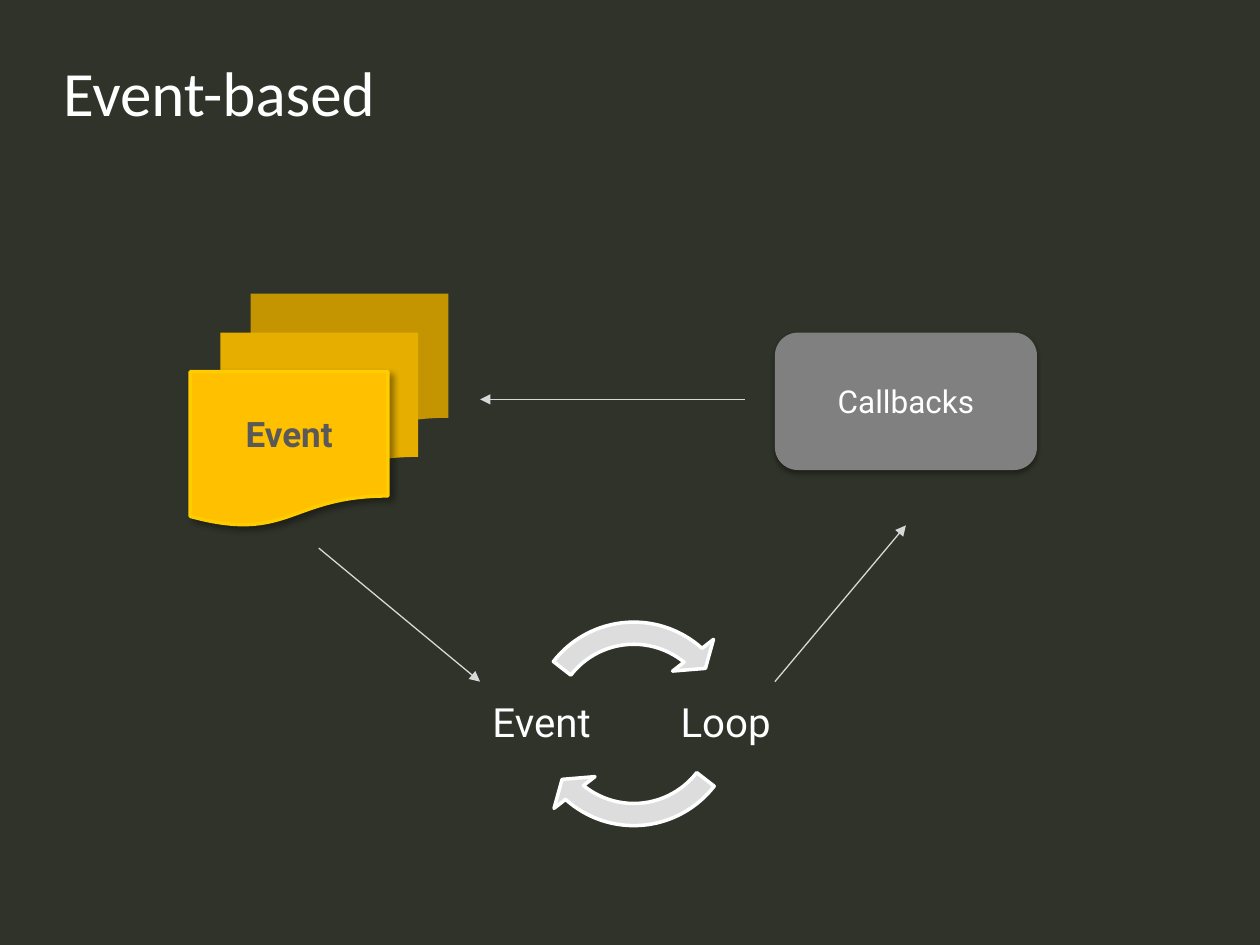
from collections import namedtuple

from lxml import etree
from pptx import Presentation
from pptx.dml.color import RGBColor
from pptx.enum.shapes import MSO_CONNECTOR, MSO_SHAPE
from pptx.enum.text import MSO_ANCHOR, MSO_AUTO_SIZE, PP_ALIGN
from pptx.oxml.ns import qn
from pptx.util import Inches, Pt

DOCUMENT = MSO_SHAPE.FLOWCHART_DOCUMENT
CIRCULAR_ARROW = MSO_SHAPE.CIRCULAR_ARROW
ROUNDED = MSO_SHAPE.ROUNDED_RECTANGLE
STRAIGHT = MSO_CONNECTOR.STRAIGHT
TOP, MIDDLE = MSO_ANCHOR.TOP, MSO_ANCHOR.MIDDLE
LEFT, CENTER = PP_ALIGN.LEFT, PP_ALIGN.CENTER
NO_AUTOFIT = MSO_AUTO_SIZE.NONE

BACKGROUND = RGBColor(0x30, 0x33, 0x29)
WHITE = RGBColor(0xFF, 0xFF, 0xFF)
DARK_GOLD = RGBColor(0xC4, 0x95, 0x00)
MID_GOLD = RGBColor(0xE6, 0xAF, 0x00)
GOLD = RGBColor(0xFF, 0xC0, 0x00)
GOLD_EDGE = RGBColor(0xFF, 0xCC, 0x00)
DARK_GREY = RGBColor(0x59, 0x59, 0x59)
GREY = RGBColor(0x80, 0x80, 0x80)
ARROW_FILL = RGBColor(0xDD, 0xDD, 0xDD)
LINE_GREY = RGBColor(0xD8, 0xD8, 0xD8)

# The slide is a grid of 100 columns and 75 rows.
SLIDE_WIDTH, SLIDE_HEIGHT = Inches(10), Inches(7.5)
COLUMN, ROW = SLIDE_WIDTH / 100, SLIDE_HEIGHT / 75

Box = namedtuple("Box", "left top width height")
TITLE_BOX = Box(5, 4.8, 90, 6.6)
EVENTS_BOX = Box(15.1, 23.3, 20.5, 18.5)
LOOP_BOX = Box(38.5, 48.2, 23.6, 18.5)
CALLBACKS_BOX = Box(61.5, 26.4, 20.8, 10.9)
FLOW_LINES = [
    ((25.3, 43.5), (38.1, 54.1)),
    ((61.5, 54.1), (71.9, 41.7)),
    ((59.1, 31.7), (38.1, 31.7)),
]
HALF_TURN = 108  # 180 degrees in adjustment units


def on_slide(box):
    """Turn grid columns and rows into slide lengths."""
    return (round(box.left * COLUMN), round(box.top * ROW),
            round(box.width * COLUMN), round(box.height * ROW))


def set_text(shape, text, font_format, alignment=CENTER, anchor=MIDDLE,
             margin=None, line_spacing=None):
    frame = shape.text_frame
    frame.word_wrap, frame.auto_size = True, NO_AUTOFIT
    frame.vertical_anchor = anchor
    if margin is not None:
        for side in ("left", "top", "right", "bottom"):
            setattr(frame, f"margin_{side}", margin)
    paragraph = frame.paragraphs[0]
    paragraph.alignment, paragraph.line_spacing = alignment, line_spacing
    run = paragraph.add_run()
    run.text = text
    settings = {"name": "Roboto", "color": WHITE, "bold": False, **font_format}
    run.font.color.rgb = settings.pop("color")
    for name, value in settings.items():
        setattr(run.font, name, value)


def add_filled(slide, kind, box, fill, edge=None):
    shape = slide.shapes.add_shape(kind, *on_slide(box))
    shape.shadow.inherit = False
    shape.fill.solid()
    shape.fill.fore_color.rgb = fill
    if edge is None:
        shape.line.fill.background()
    else:
        shape.line.color.rgb, shape.line.width = edge, Pt(2)
    return shape


def cast_shadow(shape, opacity, blur, distance, direction):
    effects = shape.element.spPr.find(qn("a:effectLst"))
    shadow = etree.SubElement(
        effects, qn("a:outerShdw"), blurRad=str(Pt(blur)),
        dist=str(Pt(distance)), dir=str(direction * 60000), rotWithShape="0")
    color = etree.SubElement(shadow, qn("a:srgbClr"), val="000000")
    etree.SubElement(color, qn("a:alpha"), val=str(opacity * 1000))


def add_title(slide, box):
    title = slide.shapes.title
    title.left, title.top, title.width, title.height = on_slide(box)
    set_text(title, "Event-based", {"name": "Calibri", "size": Pt(36)},
             LEFT, TOP, margin=0, line_spacing=Pt(39))


def add_event_stack(slide, box):
    """Three documents, each a step lower and further left than the last."""
    step_x, step_y = 2.4, 3.1
    width, height = box.width - 2 * step_x, box.height - 2 * step_y
    styles = [(DARK_GOLD, None), (MID_GOLD, None), (GOLD, GOLD_EDGE)]
    for index, (fill, edge) in enumerate(styles):
        place = Box(box.left + (2 - index) * step_x,
                    box.top + index * step_y, width, height)
        document = add_filled(slide, DOCUMENT, place, fill, edge)
    cast_shadow(document, 40, 4, 3, 45)
    set_text(document, "Event",
             {"size": Pt(20), "bold": True, "color": DARK_GREY})


def add_event_loop(slide, box):
    """Two words with an arrow from each to the other, half a turn apart."""
    word_size, ring = 9, box.height
    word_top = box.top + (box.height - word_size) / 2 + 0.05
    ring_box = Box(box.left + (box.width - ring) / 2, box.top, ring, ring)
    words = [("Loop", box.left + box.width - word_size), ("Event", box.left)]
    for index, (word, left) in enumerate(words):
        label = slide.shapes.add_textbox(
            *on_slide(Box(left, word_top, word_size, word_size)))
        set_text(label, word, {"size": Pt(23)},
                 margin=Inches(0.03), line_spacing=0.9)
        arrow = add_filled(slide, CIRCULAR_ARROW, ring_box, ARROW_FILL, WHITE)
        turn = index * HALF_TURN
        values = (0.095, 6.854, 78.486 + turn, 22.66 + turn, 0.111)
        for position, value in enumerate(values):
            arrow.adjustments[position] = value


def add_callbacks(slide, box):
    callbacks = add_filled(slide, ROUNDED, box, GREY)
    cast_shadow(callbacks, 38, 3.1, 1.6, 90)
    set_text(callbacks, "Callbacks", {"size": Pt(18)})


def add_flow_line(slide, start, end):
    points = [round(value * unit) for point in (start, end)
              for value, unit in zip(point, (COLUMN, ROW))]
    connector = slide.shapes.add_connector(STRAIGHT, *points)
    connector.line.color.rgb, connector.line.width = LINE_GREY, Pt(0.75)
    properties = connector.element.spPr
    etree.SubElement(properties.find(qn("a:ln")), qn("a:tailEnd"),
                     type="triangle")
    etree.SubElement(properties, qn("a:effectLst"))


def main():
    presentation = Presentation()
    presentation.slide_width = SLIDE_WIDTH
    presentation.slide_height = SLIDE_HEIGHT
    slide = presentation.slides.add_slide(presentation.slide_layouts[5])
    slide.background.fill.solid()
    slide.background.fill.fore_color.rgb = BACKGROUND
    add_title(slide, TITLE_BOX)
    add_event_stack(slide, EVENTS_BOX)
    add_event_loop(slide, LOOP_BOX)
    add_callbacks(slide, CALLBACKS_BOX)
    for start, end in FLOW_LINES:
        add_flow_line(slide, start, end)
    presentation.save("out.pptx")


if __name__ == "__main__":
    main()
